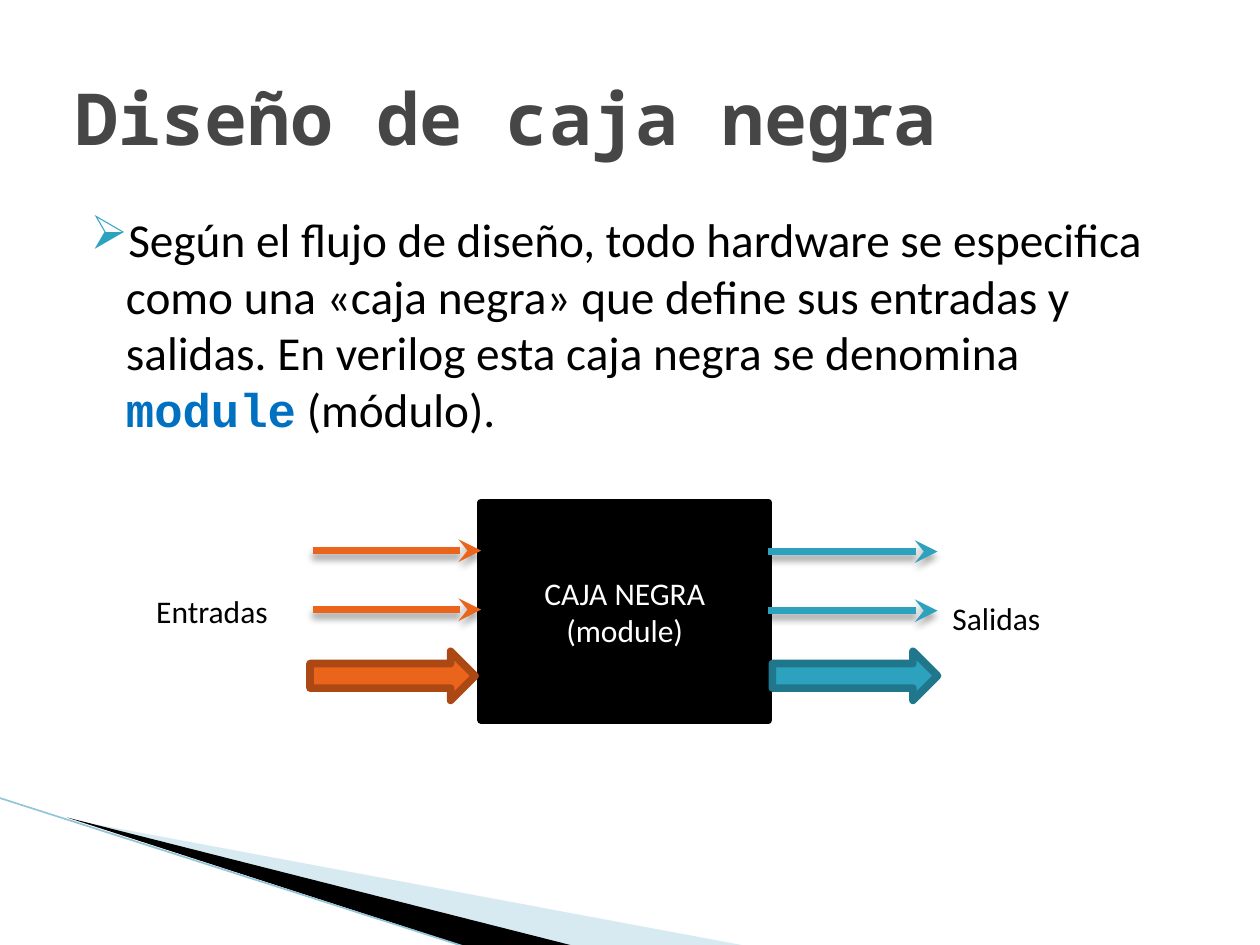
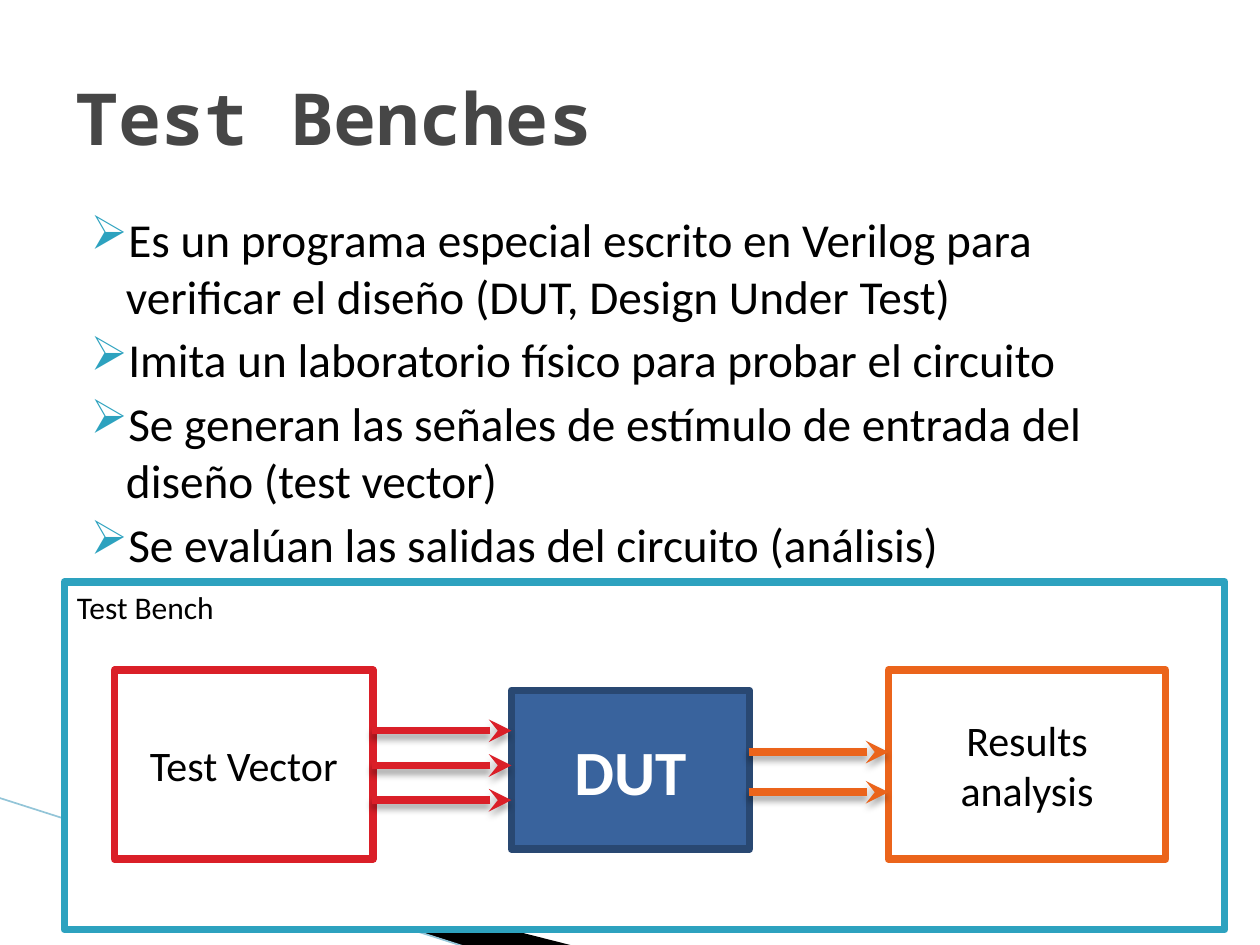
import pptx
import pptx.util
import pptx.dml.color
import pptx.enum.shapes
import pptx.enum.text
import pptx.oxml
import pptx.oxml.ns

Cm, Pt = pptx.util.Cm, pptx.util.Pt
RGB = pptx.dml.color.RGBColor
SHAPE = pptx.enum.shapes.MSO_SHAPE
ALIGN = pptx.enum.text.PP_ALIGN
ANCHOR = pptx.enum.text.MSO_ANCHOR

# Shared style
BLACK, WHITE = RGB(0, 0, 0), RGB(255, 255, 255)
GREY = RGB(0x46, 0x46, 0x46)
TEAL, DEEP_TEAL = RGB(0x2D, 0xA2, 0xBF), RGB(0x20, 0x76, 0x8B)
ORANGE, RUST = RGB(0xEB, 0x64, 0x1B), RGB(0xAB, 0x48, 0x13)
RED = RGB(0xDA, 0x1F, 0x28)
BLUE, NAVY = RGB(0x39, 0x63, 0x9D), RGB(0x29, 0x48, 0x72)
CODE_BLUE = RGB(0x00, 0x70, 0xC0)
PALE, EDGE = RGB(0x9C, 0xCA, 0xDC), RGB(0x93, 0xC5, 0xD8)
SANS, MONO, HEAD = "Calibri", "Courier New", "Noto Sans Mono"
STROKE = Pt(4.33)

# Content: each bullet is a list of (text, is code); places are in cm
BOX_TITLE = "Diseño de caja negra"
BOX_TEXT = [[
    ("Según el flujo de diseño, todo hardware se especifica como una "
     "«caja negra» que define sus entradas y salidas. En verilog esta "
     "caja negra se denomina ", False),
    ("module", True),
    (" (módulo).", False),
]]
# left, right, first y, block arrow left, fill, edge
PORTS = [
    (15.49, 18.9, 11.12, 15.57, TEAL, DEEP_TEAL),
    (6.3, 9.7, 11.1, 6.25, ORANGE, RUST),
]
PORT_GAP = 1.19
LABELS = [("Entradas", (2.9, 11.81, 2.87, 1.02)),
          ("Salidas", (18.95, 11.96, 2.39, 1.02))]

BENCH_TITLE = "Test Benches"
BENCH_TEXT = [[(text, False)] for text in (
    "Es un programa especial escrito en Verilog para verificar el diseño "
    "(DUT, Design Under Test)",
    "Imita un laboratorio físico para probar el circuito",
    "Se generan las señales de estímulo de entrada del diseño (test vector)",
    "Se evalúan las salidas del circuito (análisis)",
)]
# text, place, fill, edge, size, text colour, bold
STAGES = [
    ("Test Vector", (2.31, 13.51, 5.21, 3.81), WHITE, RED, 24, BLACK, False),
    ("DUT", (10.31, 13.92, 4.8, 3.2), BLUE, NAVY, 36, WHITE, True),
    ("Results analysis", (17.91, 13.51, 5.59, 3.81), WHITE, ORANGE, 24,
     BLACK, False),
]
# left, right, first y, gap, count, colour
FLOWS = [(7.49, 10.31, 14.73, 0.7, 3, RED),
         (15.09, 17.91, 15.16, 0.81, 2, ORANGE)]


def place(at):
    return [Cm(n) for n in at]


def style(font, size, color, name=SANS, bold=False):
    font.size, font.name, font.bold = Pt(size), name, bold
    font.color.rgb = color


def add_xml(parent, body):
    """Append one DrawingML element and return it."""
    names = pptx.oxml.ns.nsdecls("a")
    node = pptx.oxml.parse_xml(f"<a:wrap {names}>{body}</a:wrap>")[0]
    parent.append(node)
    return node


def add_line(slide, start, end, color, width):
    line = slide.shapes.add_connector(
        pptx.enum.shapes.MSO_CONNECTOR.STRAIGHT, *place(start + end))
    line.line.color.rgb, line.line.width = color, width
    return line, add_xml(line._element.spPr, "<a:effectLst/>")


def add_arrow(slide, left, right, y, color):
    line, effects = add_line(slide, (left, y), (right, y), color, STROKE)
    add_xml(line.line._get_or_add_ln(), '<a:tailEnd type="stealth"/>')
    add_xml(effects, f'<a:outerShdw blurRad="{Pt(4)}" dist="{Pt(3)}" '
            'dir="5400000" rotWithShape="0"><a:srgbClr val="000000">'
            '<a:alpha val="35000"/></a:srgbClr></a:outerShdw>')


def add_wedge(slide, points, color):
    spots = [tuple(place(p)) for p in points]
    build = slide.shapes.build_freeform(*spots[0])
    build.add_line_segments(spots[1:], close=True)
    wedge = build.convert_to_shape()
    wedge.shadow.inherit = False
    wedge.fill.solid()
    wedge.fill.fore_color.rgb = color
    wedge.line.fill.background()
    return wedge


def add_block(slide, kind, at, fill, edge):
    block = slide.shapes.add_shape(kind, *place(at))
    block.shadow.inherit = False
    block.fill.solid()
    block.fill.fore_color.rgb = fill
    block.line.color.rgb, block.line.width = edge, STROKE
    return block


def write(shape, lines, size, color, bold=False, align=ALIGN.CENTER,
          anchor=ANCHOR.MIDDLE):
    frame = shape.text_frame
    frame.word_wrap, frame.vertical_anchor = True, anchor
    frame.text = "\n".join(lines)
    for para in frame.paragraphs:
        para.alignment = align
        style(para.font, size, color, bold=bold)


def add_bullets(slide, items, height):
    frame = slide.shapes.add_textbox(
        *place((1.27, 4.11, 22.86, height))).text_frame
    frame.word_wrap = True
    for i, runs in enumerate(items):
        para = frame.paragraphs[0] if i == 0 else frame.add_paragraph()
        props = para._p.get_or_add_pPr()
        props.set("marL", str(Cm(1.02)))
        props.set("indent", str(Cm(-0.71)))
        add_xml(props, f'<a:buClr><a:srgbClr val="{TEAL}"/></a:buClr>')
        add_xml(props, '<a:buChar char="➢"/>')
        para.space_before = Pt(4 if i else 0)
        style(para.font, 27, BLACK)
        for text, code in runs:
            run = para.add_run()
            run.text = text
            if code:
                style(run.font, 27, CODE_BLUE, MONO, True)


def new_slide(deck, title, pale=False):
    """Title-only slide with the corner wedges."""
    slide = deck.slides.add_slide(deck.slide_layouts[5])
    if pale:
        wedge = add_wedge(
            slide, [(1.4, 16.52), (15.11, 19.08), (11.58, 19.08)], PALE)
        tint = wedge._element.spPr.find(".//" + pptx.oxml.ns.qn("a:srgbClr"))
        add_xml(tint, '<a:alpha val="40000"/>')
    add_wedge(slide, [(1.35, 16.48), (11.61, 19.08), (9.45, 19.1)], BLACK)
    add_line(slide, (-0.03, 16.08), (9.42, 19.1), EDGE, Pt(0.95))

    head = slide.shapes.title
    head.left, head.top, head.width, head.height = place(
        (1.27, 0.76, 22.86, 3.18))
    write(head, [title], 41, GREY, True, ALIGN.LEFT)
    head.text_frame.paragraphs[0].font.name = HEAD
    return slide


def draw_box(deck):
    slide = new_slide(deck, BOX_TITLE, pale=True)
    add_bullets(slide, BOX_TEXT, 12.57)
    box = add_block(slide, SHAPE.RECTANGLE, (9.7, 10.13, 5.79, 4.39),
                    BLACK, BLACK)
    write(box, ["CAJA NEGRA", "(module)"], 18, WHITE)
    # Single signals and buses
    for left, right, top, bus, fill, edge in PORTS:
        for i in range(2):
            add_arrow(slide, left, right, top + i * PORT_GAP, fill)
        add_block(slide, SHAPE.RIGHT_ARROW, (bus, 13.13, 3.33, 0.99),
                  fill, edge)
    for text, at in LABELS:
        label = slide.shapes.add_textbox(*place(at))
        write(label, [text], 18, BLACK, align=ALIGN.LEFT, anchor=ANCHOR.TOP)


def draw_bench(deck):
    slide = new_slide(deck, BENCH_TITLE)
    add_bullets(slide, BENCH_TEXT, 7.67)
    bench = add_block(slide, SHAPE.RECTANGLE, (1.3, 11.73, 23.39, 7.01),
                      WHITE, TEAL)
    write(bench, ["Test Bench"], 18, BLACK, align=ALIGN.LEFT,
          anchor=ANCHOR.TOP)
    # Stages and the signals between them
    for text, at, fill, edge, size, color, bold in STAGES:
        stage = add_block(slide, SHAPE.RECTANGLE, at, fill, edge)
        write(stage, [text], size, color, bold)
    for left, right, top, gap, count, color in FLOWS:
        for i in range(count):
            add_arrow(slide, left, right, top + i * gap, color)


def main():
    deck = pptx.Presentation()
    deck.slide_width, deck.slide_height = Cm(25.4), Cm(19.05)
    draw_box(deck)
    draw_bench(deck)
    deck.save("out.pptx")


if __name__ == "__main__":
    main()
